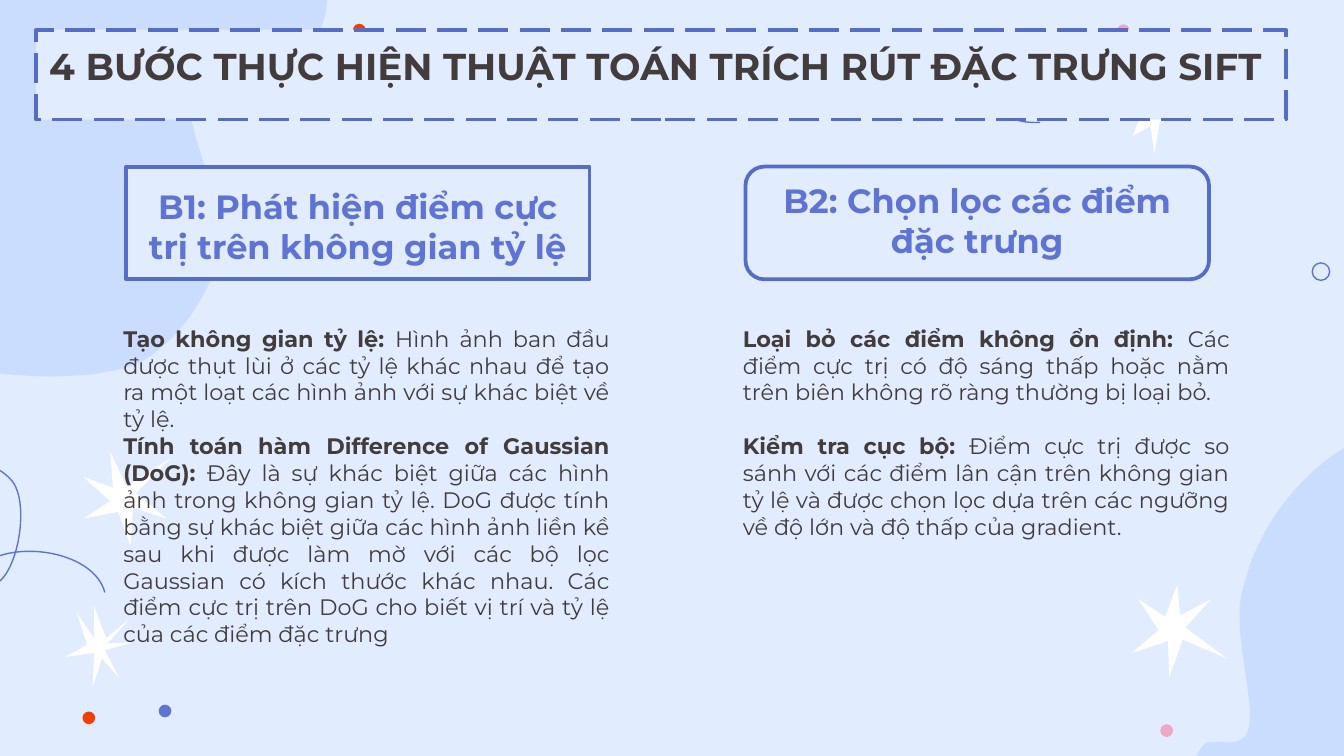
import pptx
import pptx.dml.color
import pptx.enum.dml
import pptx.enum.shapes
import pptx.enum.text
import pptx.oxml
import pptx.oxml.ns
import pptx.util
from pptx.util import Cm

FONT = "Montserrat"
PAPER, PALE, WHITE = "E1ECFF", "CADDFF", "FFFFFF"
BLUE, BORDER, INK = "5E73D2", "556DC6", "423C3C"
ORANGE, PINK = "F23F00", "EFA8C3"
INCH = 2.54
COLUMN_PITCH = 11.71

BLOBS = [
    [(-.43, 2.51), (-.33, 2.68), (-.25, 2.75), (0, 2.78), (.25, 2.81), (.8, 2.83), (1.07, 2.68),
     (1.34, 2.52), (1.58, 2.17), (1.64, 1.85), (1.69, 1.52), (1.35, .92), (1.42, .7),
     (1.49, .49), (1.91, .6), (2.06, .54), (2.22, .47), (2.28, .41), (2.34, .31),
     (2.4, .21), (2.45, .04), (2.43, -.06), (2.41, -.16), (2.37, -.24), (2.24, -.3),
     (2.12, -.36), (2, -.38), (1.68, -.41), (1.35, -.43), (.67, -.5), (.31, -.45),
     (-.06, -.4), (-.37, -.32), (-.52, -.1), (-.66, .13), (-.57, .6), (-.58, .9),
     (-.58, 1.21), (-.59, 1.47), (-.57, 1.74), (-.54, 2), (-.52, 2.34), (-.43, 2.51)],
    [(11.18, 3.26), (10.94, 3.11), (10.53, 3.15), (10.26, 3.22), (10, 3.29), (9.75, 3.5), (9.58, 3.71),
     (9.41, 3.92), (9.28, 4.19), (9.23, 4.47), (9.19, 4.76), (9.34, 5.25), (9.29, 5.42),
     (9.25, 5.6), (9.03, 5.48), (8.96, 5.54), (8.89, 5.61), (8.86, 5.72), (8.86, 5.8),
     (8.87, 5.89), (8.89, 5.99), (9, 6.06), (9.12, 6.13), (9.22, 6.19), (9.57, 6.2),
     (9.91, 6.21), (10.75, 6.16), (11.07, 6.13), (11.38, 6.1), (11.38, 6.14), (11.47, 6.01),
     (11.56, 5.88), (11.57, 5.69), (11.6, 5.38), (11.63, 5.06), (11.73, 4.5), (11.66, 4.14),
     (11.59, 3.79), (11.41, 3.42), (11.18, 3.26)],
]
STARS = [
    [(1.24, 3.86), (.99, 3.78), (.97, 4.06), (.88, 3.81), (.62, 3.86), (.82, 3.73), (.62, 3.55),
     (.84, 3.63), (.82, 3.36), (.94, 3.62), (1.27, 3.41), (1.01, 3.67)],
    [(.57, 4.56), (.7, 4.75), (.7, 4.51), (.79, 4.75), (.96, 4.61), (.8, 4.79), (.99, 4.78),
     (.78, 4.84), (.89, 5.05), (.76, 4.9), (.69, 5.11), (.7, 4.86), (.48, 4.89), (.65, 4.8)],
    [(8.43, 1.01), (8.56, .94), (8.59, 1.14), (8.63, .91), (8.86, .86), (8.64, .81), (8.68, .6),
     (8.55, .73), (8.44, .65), (8.5, .82), (8.31, .83), (8.48, .88)],
    [(8.7, 5.04), (8.69, 4.77), (8.42, 4.86), (8.62, 4.69), (8.47, 4.46), (8.67, 4.59), (8.76, 4.35),
     (8.78, 4.58), (9.01, 4.46), (8.82, 4.67), (9.13, 4.9), (8.8, 4.76)],
]
SQUIGGLES = [
    [(-.99, 3.58), (-.67, 3.42), (-.14, 3.31), (.09, 3.58), (.25, 3.78), (.09, 4.47), (-.13, 4.34),
     (-.17, 4.32), (-.18, 4.24), (-.14, 4.21), (.1, 4.01), (.7, 4.1), (.78, 4.41)],
    [(6.17, .4), (6.46, .51), (6.77, .67), (7.08, .6), (7.23, .57), (7.55, .36), (7.42, .28),
     (7.31, .21), (7.15, .47), (7.19, .59), (7.26, .79), (7.53, .93), (7.74, .91)],
]
DOTS = [(3, 13.32, BLUE), (1.56, 13.45, ORANGE), (21.93, 13.69, PINK),
        (21.11, .46, PINK), (6.67, .45, ORANGE)]

STEPS = [
    ("B1: Phát hiện điểm cực trị trên không gian tỷ lệ", "rect", 0, [
        ("Tạo không gian tỷ lệ: ",
         "Hình ảnh ban đầu được thụt lùi ở các tỷ lệ khác nhau để tạo ra một loạt các hình ảnh "
         "với sự khác biệt về tỷ lệ."),
        ("Tính toán hàm Difference of Gaussian (DoG): ",
         "Đây là sự khác biệt giữa các hình ảnh trong không gian tỷ lệ. DoG được tính bằng sự khác "
         "biệt giữa các hình ảnh liền kề sau khi được làm mờ với các bộ lọc Gaussian có kích thước "
         "khác nhau. Các điểm cực trị trên DoG cho biết vị trí và tỷ lệ của các điểm đặc trưng")]),
    ("B2: Chọn lọc các điểm đặc trưng", "roundRect", 14.4, [
        ("Loại bỏ các điểm không ổn định: ",
         "Các điểm cực trị có độ sáng thấp hoặc nằm trên biên không rõ ràng thường bị loại bỏ."),
        ("Kiểm tra cục bộ: ",
         "Điểm cực trị được so sánh với các điểm lân cận trên không gian tỷ lệ và được chọn lọc "
         "dựa trên các ngưỡng về độ lớn và độ thấp của gradient.")]),
]


def rgb(value):
    """Return the colour for a hex string."""
    return pptx.dml.color.RGBColor.from_string(value)


def paint(shape, fill=None, line=None, width=.75):
    """Set fill and outline, leaving out whichever is not given."""
    if fill:
        shape.fill.solid()
        shape.fill.fore_color.rgb = rgb(fill)
    else:
        shape.fill.background()
    if line:
        shape.line.color.rgb = rgb(line)
        shape.line.width = pptx.util.Pt(width)
    else:
        shape.line.fill.background()


def add_outline(slide, points, closed=True, **colours):
    """Draw a freeform through points given in inches."""
    start, *rest = [(Cm(INCH * x), Cm(INCH * y)) for x, y in points]
    builder = slide.shapes.build_freeform(*start)
    builder.add_line_segments(rest, close=closed)
    outline = builder.convert_to_shape()
    outline.shadow.inherit = False
    paint(outline, **colours)
    return outline


def add_curve(slide, knots, closed=True, **colours):
    """Draw a freeform whose points after the first are Bézier triples."""
    curve = add_outline(slide, knots, closed, **colours)
    segments = list(curve._element.iter(pptx.oxml.ns.qn("a:lnTo")))[:len(knots) - 1]
    for i in range(0, len(segments), 3):
        bezier = pptx.oxml.parse_xml(f'<a:cubicBezTo {pptx.oxml.ns.nsdecls("a")}/>')
        segments[i].addprevious(bezier)
        for segment in segments[i:i + 3]:
            bezier.append(segment[0])
            segment.getparent().remove(segment)


def add_circle(slide, left, top, size, **colours):
    """Draw a circle with its place and size in centimetres."""
    circle = slide.shapes.add_shape(pptx.enum.shapes.MSO_SHAPE.OVAL,
                                    Cm(left), Cm(top), Cm(size), Cm(size))
    circle.shadow.inherit = False
    paint(circle, **colours)


def place(holder, left, top, width, height, anchor="TOP", geometry="rect"):
    """Move a placeholder to the front at its place and return its text frame."""
    holder.left, holder.top, holder.width, holder.height = map(Cm, (left, top, width, height))
    holder._element.spPr.insert(1, pptx.oxml.parse_xml(
        f'<a:prstGeom {pptx.oxml.ns.nsdecls("a")} prst="{geometry}"><a:avLst/></a:prstGeom>'))
    holder._element.getparent().append(holder._element)
    frame = holder.text_frame
    frame.word_wrap = True
    frame.auto_size = pptx.enum.text.MSO_AUTO_SIZE.NONE
    frame.vertical_anchor = pptx.enum.text.MSO_ANCHOR[anchor]
    frame.margin_left = frame.margin_right = frame.margin_top = frame.margin_bottom = Cm(.25)
    return frame


def write(paragraph, parts, size, colour, align, before=0):
    """Fill a paragraph with (text, bold) parts and format it without a bullet."""
    for text, bold in parts:
        run = paragraph.add_run()
        run.text = text
        run.font.bold = bold
    font = paragraph.font
    font.name, font.size, font.color.rgb = FONT, pptx.util.Pt(size), rgb(colour)
    paragraph.alignment = pptx.enum.text.PP_ALIGN[align]
    paragraph.line_spacing = 1.0
    paragraph.space_before = pptx.util.Pt(before)
    properties = paragraph._p.get_or_add_pPr()
    properties.set("marL", "0")
    properties.set("indent", "0")
    properties.find(pptx.oxml.ns.qn("a:defRPr")).addprevious(
        pptx.oxml.parse_xml(f'<a:buNone {pptx.oxml.ns.nsdecls("a")}/>'))


def decorate(slide):
    """Draw the background blobs, stars, dots and squiggles."""
    for blob in BLOBS:
        add_curve(slide, blob, fill=PALE)
    for star in STARS:
        add_outline(slide, star, fill=WHITE)
    for left, top, colour in DOTS:
        add_circle(slide, left, top, .24, fill=colour)
    add_circle(slide, 24.8, 4.97, .33, line=BLUE)
    for squiggle in SQUIGGLES:
        add_curve(slide, squiggle, closed=False, line=BLUE)


def add_title(slide, text):
    """Write the slide title in its dashed frame."""
    title = slide.shapes.title
    frame = place(title, .68, .56, 23.62, 1.7)
    paint(title, PAPER, BORDER, 2)
    title.line.dash_style = pptx.enum.dml.MSO_LINE.LONG_DASH
    write(frame.paragraphs[0], [(text, True)], 20, INK, "LEFT")


def add_step(slide, column, heading, geometry, gap, details):
    """Write one step: a framed heading and its explanation below."""
    holders = {holder.placeholder_format.idx: holder for holder in slide.placeholders}
    shift = column * COLUMN_PITCH
    label, body = holders[1 + 2 * column], holders[2 + 2 * column]
    frame = place(label, 2.38 + shift, 3.15, 8.76, 2.13, "BOTTOM", geometry)
    paint(label, PAPER, BORDER, 2)
    write(frame.paragraphs[0], [(heading, True)], 18, BLUE, "CENTER")
    frame = place(body, 2.08 + shift, 5.89, 9.7, 6.73)
    for i, (term, explanation) in enumerate(details):
        paragraph = frame.add_paragraph() if i else frame.paragraphs[0]
        write(paragraph, [(term, True), (explanation, False)], 12, INK, "JUSTIFY", gap if i else 0)


def main():
    """Build the slide and save it."""
    deck = pptx.Presentation()
    deck.slide_width, deck.slide_height = Cm(25.4), Cm(14.29)
    slide = deck.slides.add_slide(deck.slide_layouts.get_by_name("Comparison"))
    slide.background.fill.solid()
    slide.background.fill.fore_color.rgb = rgb(PAPER)
    decorate(slide)
    add_title(slide, "4 BƯỚC THỰC HIỆN THUẬT TOÁN TRÍCH RÚT ĐẶC TRƯNG SIFT")
    for column, step in enumerate(STEPS):
        add_step(slide, column, *step)
    deck.save("out.pptx")


if __name__ == "__main__":
    main()
